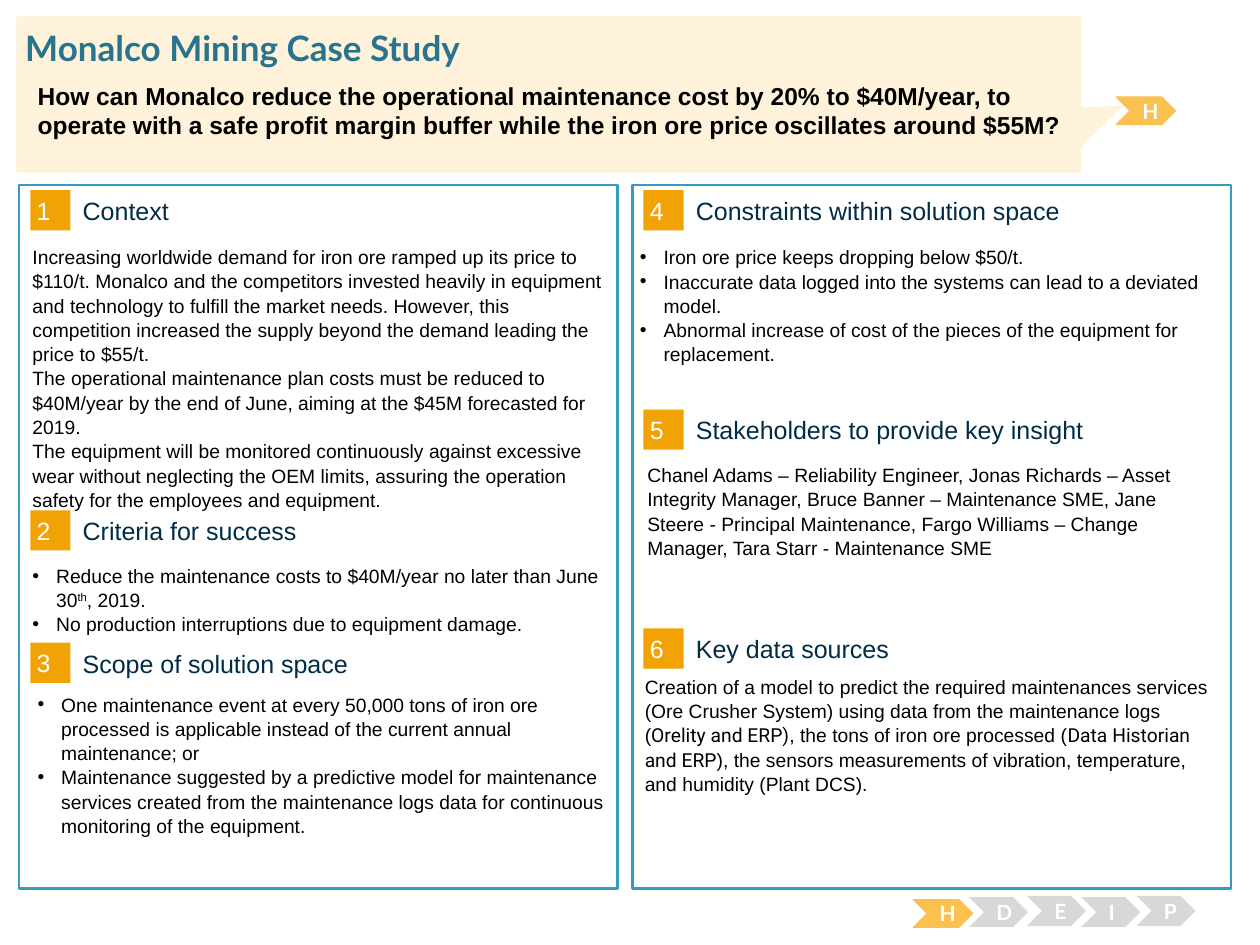
from pptx import Presentation
from pptx.dml.color import RGBColor
from pptx.enum.shapes import MSO_SHAPE
from pptx.enum.text import MSO_ANCHOR, PP_ALIGN
from pptx.util import Pt
from lxml.etree import SubElement
from pptx.oxml.ns import qn

WHITE = RGBColor(0xFF, 0xFF, 0xFF)
BLACK = RGBColor(0, 0, 0)
TEAL = RGBColor(0x37, 0x9B, 0xBD)
BLUE = RGBColor(0x29, 0x74, 0x8D)
NAVY = RGBColor(0x00, 0x2C, 0x46)
ORANGE = RGBColor(0xF1, 0xA2, 0x05)
GOLD = RGBColor(0xFB, 0xC1, 0x4E)
GRAY = RGBColor(0xD8, 0xD8, 0xD8)
CREAM = RGBColor(0xFE, 0xF2, 0xDA)

deck = Presentation()
deck.slide_width, deck.slide_height = Pt(720), Pt(540)
slide = deck.slides.add_slide(deck.slide_layouts[6])
shapes = slide.shapes


def draw(kind, left, top, width, height, fill, line=None, weight=0.75):
    shape = shapes.add_shape(kind, Pt(left), Pt(top), Pt(width), Pt(height))
    shape.shadow.inherit = False
    shape.fill.solid()
    shape.fill.fore_color.rgb = fill
    if line is None:
        shape.line.fill.background()
    else:
        shape.line.color.rgb = line
        shape.line.width = Pt(weight)
    return shape


def write(shape, text, size, color, font="Arial", bold=False, pad=(7.2, 3.6),
          anchor=MSO_ANCHOR.TOP, align=PP_ALIGN.LEFT):
    frame = shape.text_frame
    frame.word_wrap = True
    frame.vertical_anchor = anchor
    frame.margin_left = frame.margin_right = Pt(pad[0])
    frame.margin_top = frame.margin_bottom = Pt(pad[1])
    frame.text = text
    for para in frame.paragraphs:
        para.alignment = align
        for run in para.runs:
            run.font.size = Pt(size)
            run.font.name = font
            run.font.bold = bold
            run.font.color.rgb = color
    return frame


for left in (10.8, 361.4):
    draw(MSO_SHAPE.RECTANGLE, left, 105.8, 342, 401.8, WHITE, TEAL, 1.5)

heads = [
    ("1", 17.3, 108.7, "Context"),
    ("2", 17.3, 291.6, "Criteria for success"),
    ("3", 17.3, 367.2, "Scope of solution space"),
    ("4", 367.7, 108.7, "Constraints within solution space"),
    ("5", 367.7, 234, "Stakeholders to provide key insight"),
    ("6", 367.7, 359.1, "Key data sources"),
]
for digit, left, top, name in heads:
    tile = draw(MSO_SHAPE.RECTANGLE, left, top, 23, 23, ORANGE)
    write(tile, digit, 14.3, WHITE, pad=(3.6, 3.6), anchor=MSO_ANCHOR.MIDDLE)
    label = shapes.add_textbox(Pt(left + 30), Pt(top + 2.7), Pt(283), Pt(18))
    write(label, name, 14.3, NAVY, pad=(0, 0), anchor=MSO_ANCHOR.MIDDLE)

bodies = [
    (11.5, 136.1, 97.9, False, [
        "Increasing worldwide demand for iron ore ramped up its price to $110/t. Monalco and the competitors "
        "invested heavily in equipment and technology to fulfill the market needs. However, this competition "
        "increased the supply beyond the demand leading the price to $55/t.",
        "The operational maintenance plan costs must be reduced to $40M/year by the end of June, aiming at "
        "the $45M forecasted for 2019.",
        "The equipment will be monitored continuously against excessive wear without neglecting the OEM "
        "limits, assuring the operation safety for the employees and equipment."]),
    (11.5, 318.2, 49, True, [
        "Reduce the maintenance costs to $40M/year no later than June 30|th|, 2019.",
        "No production interruptions due to equipment damage."]),
    (14.4, 391.7, 113.8, True, [
        "One maintenance event at every 50,000 tons of iron ore processed is applicable instead of the "
        "current annual maintenance; or",
        "Maintenance suggested by a predictive model for maintenance services created from the maintenance "
        "logs data for continuous monitoring of the equipment."]),
    (358.6, 136.1, 85, True, [
        "Iron ore price keeps dropping below $50/t.",
        "Inaccurate data logged into the systems can lead to a deviated model.",
        "Abnormal increase of cost of the pieces of the equipment for replacement."]),
    (362.9, 260.6, 85, False, [
        "Chanel Adams – Reliability Engineer, Jonas Richards – Asset Integrity Manager, Bruce Banner – "
        "Maintenance SME, Jane Steere - Principal Maintenance, Fargo Williams – Change Manager, "
        "Tara Starr - Maintenance SME"]),
    (361.4, 381.6, 85, False, [
        "Creation of a model to predict the required maintenances services (Ore Crusher System) using data "
        "from the maintenance logs (|Orelity and ERP)|, the tons of iron ore processed (|Data Historian and "
        "ERP|), the sensors measurements of vibration, temperature, and humidity (Plant DCS)."]),
]
for left, top, height, listed, lines in bodies:
    box = shapes.add_textbox(Pt(left), Pt(top), Pt(340.6), Pt(height))
    frame = write(box, "\n".join(lines), 11, BLACK)
    for para, line in zip(frame.paragraphs, lines):
        para.line_spacing = 1.05
        parts = line.split("|")
        if len(parts) > 1:
            para.text = ""
            for rank, part in enumerate(parts):
                run = para.add_run()
                run.text = part
                run.font.size = Pt(11)
                run.font.color.rgb = BLACK
                run.font.name = "Arial"
                if rank % 2 and listed:
                    run._r.get_or_add_rPr().set("baseline", "30000")
                elif rank % 2:
                    run.font.name = "Roboto"
        if listed:
            props = para._p.get_or_add_pPr()
            props.set("marL", str(Pt(13.5)))
            props.set("indent", str(-Pt(13.5)))
            SubElement(props, qn("a:buFont")).set("typeface", "Arial")
            SubElement(props, qn("a:buChar")).set("char", "•")

steps = [
    ("H", 522, 514.1, 15.8, GOLD, GOLD),
    ("D", 553.7, 512.6, 17.3, GRAY, None),
    ("E", 586.8, 511.9, 17.3, GRAY, None),
    ("I", 617.8, 512.6, 17.3, GRAY, None),
    ("P", 649.4, 511.9, 17.3, GRAY, None),
    ("H", 637.9, 55.4, 15.8, GOLD, GOLD),
]
for mark, left, top, height, fill, line in steps:
    step = draw(MSO_SHAPE.CHEVRON, left, top, 33.8, height, fill, line)
    write(step, mark, 12, WHITE, "Lato", True, anchor=MSO_ANCHOR.MIDDLE, align=PP_ALIGN.CENTER)

call = draw(MSO_SHAPE.RECTANGULAR_CALLOUT, 9.4, 9.4, 608.4, 89.3, CREAM)
call.adjustments[0] = 0.54
call.adjustments[1] = 0.07

title = shapes.add_textbox(Pt(14.4), Pt(15.1), Pt(692.6), Pt(24.5))
write(title, "Monalco Mining Case Study", 20, BLUE, "Lato", True, pad=(0, 0))

quest = shapes.add_textbox(Pt(14.4), Pt(42.5), Pt(603.4), Pt(38.9))
write(quest, "How can Monalco reduce the operational maintenance cost by 20% to $40M/year, to operate with "
      "a safe profit margin buffer while the iron ore price oscillates around $55M?", 14, BLACK, bold=True)

deck.save("out.pptx")
